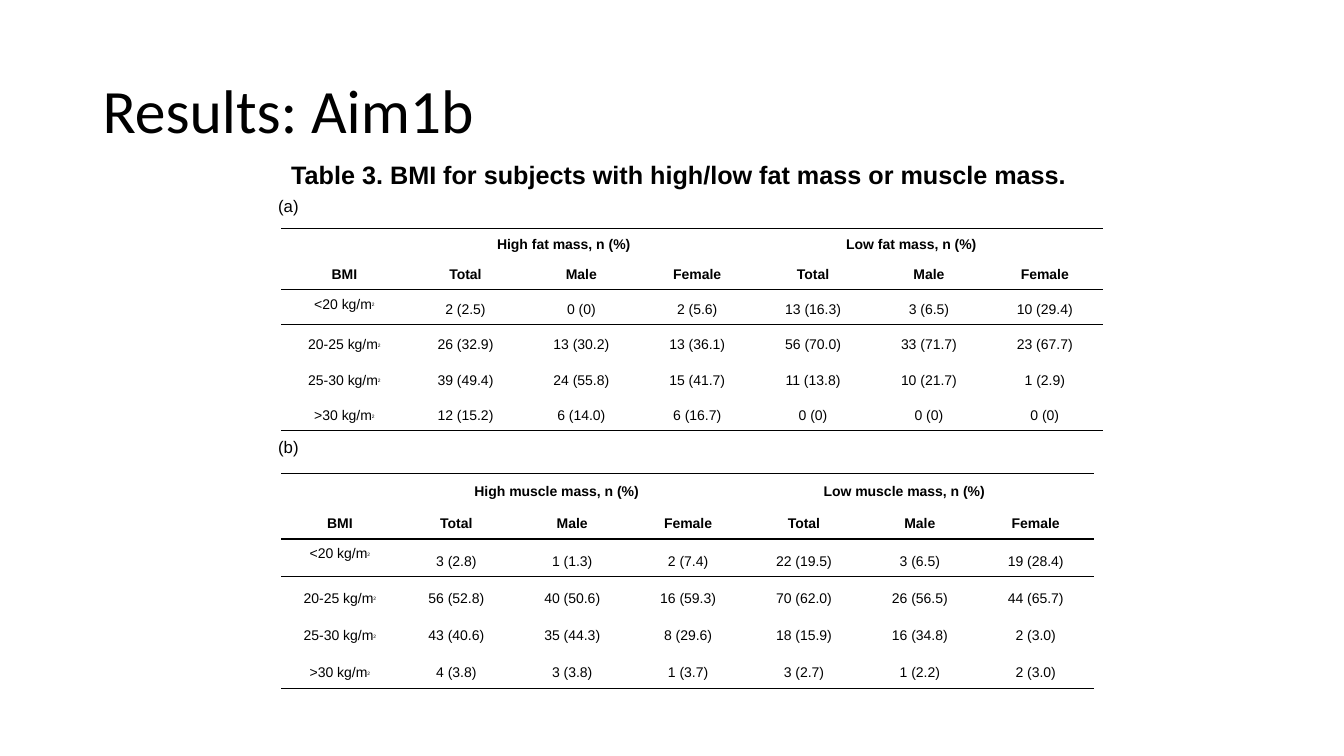
from lxml import etree
from pptx import Presentation
from pptx.dml.color import RGBColor
from pptx.enum.text import MSO_ANCHOR, PP_ALIGN
from pptx.oxml.ns import qn
from pptx.util import Cm, Pt

LEFT, CENTER = PP_ALIGN.LEFT, PP_ALIGN.CENTER
TOP, MIDDLE, BOTTOM = MSO_ANCHOR.TOP, MSO_ANCHOR.MIDDLE, MSO_ANCHOR.BOTTOM
BLACK = "000000"
PLAIN_TABLE_STYLE = "{2D5ABB26-0587-4C30-8999-92F81FD0307C}"
TITLE_ONLY = 5

TABLE_LEFT = 7.09
VALUE_WIDTH = 2.92
CELL_MARGIN = 0.18
HEADER_ROWS = 2
# The third "Female" value spans columns 3 and 4
TEXT_COLUMNS = [0, 1, 2, 3, 5, 6, 7]
SUBHEADINGS = ["BMI"] + ["Total", "Male", "Female"] * 2
BMI_RANGES = ["<20", "20-25", "25-30", ">30"]

FAT_MASS = [
    ["2 (2.5)", "0 (0)", "2 (5.6)", "13 (16.3)", "3 (6.5)", "10 (29.4)"],
    ["26 (32.9)", "13 (30.2)", "13 (36.1)", "56 (70.0)", "33 (71.7)", "23 (67.7)"],
    ["39 (49.4)", "24 (55.8)", "15 (41.7)", "11 (13.8)", "10 (21.7)", "1 (2.9)"],
    ["12 (15.2)", "6 (14.0)", "6 (16.7)", "0 (0)", "0 (0)", "0 (0)"],
]
MUSCLE_MASS = [
    ["3 (2.8)", "1 (1.3)", "2 (7.4)", "22 (19.5)", "3 (6.5)", "19 (28.4)"],
    ["56 (52.8)", "40 (50.6)", "16 (59.3)", "70 (62.0)", "26 (56.5)", "44 (65.7)"],
    ["43 (40.6)", "35 (44.3)", "8 (29.6)", "18 (15.9)", "16 (34.8)", "2 (3.0)"],
    ["4 (3.8)", "3 (3.8)", "1 (3.7)", "3 (2.7)", "1 (2.2)", "2 (3.0)"],
]


def color(hex_string):
    return RGBColor.from_string(hex_string)


def format_paragraph(paragraph, size, name="Arial", bold=False, align=LEFT):
    paragraph.alignment = align
    font = paragraph.font
    font.size, font.name, font.bold = Pt(size), name, bold
    font.color.rgb = color(BLACK)


def set_title(slide, text):
    title = slide.shapes.title
    title.left, title.top, title.width, title.height = (
        Cm(2.33), Cm(1.01), Cm(29.21), Cm(3.68))
    title.text_frame.text = text
    title.text_frame.vertical_anchor = MIDDLE
    paragraph = title.text_frame.paragraphs[0]
    paragraph.line_spacing = 0.9
    format_paragraph(paragraph, 44, "Calibri")


def add_text(slide, text, left, top, width, height, size, bold=False):
    box = slide.shapes.add_textbox(Cm(left), Cm(top), Cm(width), Cm(height))
    box.text_frame.word_wrap = True
    box.text_frame.text = text
    format_paragraph(box.text_frame.paragraphs[0], size, bold=bold)


def add_border(cell, side):
    line = etree.SubElement(cell._tc.get_or_add_tcPr(), qn(f"a:{side}"), w="12700")
    fill = etree.SubElement(line, qn("a:solidFill"))
    etree.SubElement(fill, qn("a:srgbClr"), val=BLACK)


def write_cell(cell, text, bold=False):
    paragraph = cell.text_frame.paragraphs[0]
    format_paragraph(paragraph, 10, bold=bold, align=CENTER)
    paragraph.add_run().text = text
    return paragraph


def write_bmi_range(cell, bmi_range):
    paragraph = write_cell(cell, f"{bmi_range} kg/m")
    exponent = paragraph.add_run()
    exponent.text = "2"
    exponent.font.size = Pt(6)
    exponent.font._element.set("baseline", "30000")


def prepare_cells(table):
    last_row = len(table.rows) - 1
    for row_index, row in enumerate(table.rows):
        for cell in row.cells:
            cell.margin_left = cell.margin_right = Cm(CELL_MARGIN)
            cell.margin_top = cell.margin_bottom = Cm(CELL_MARGIN)
            cell.vertical_anchor = BOTTOM
            if row_index in (0, HEADER_ROWS):
                add_border(cell, "lnT")
            if row_index == last_row:
                add_border(cell, "lnB")
            cell.fill.background()


def add_mass_table(slide, mass, values, top, widths, header_height, row_height):
    heights = [header_height] * HEADER_ROWS + [row_height] * len(values)
    frame = slide.shapes.add_table(
        len(heights), len(widths), Cm(TABLE_LEFT), Cm(top),
        Cm(sum(widths)), Cm(sum(heights)))
    table = frame.table
    table.first_row = table.horz_banding = False
    table._tbl.tblPr.find(qn("a:tableStyleId")).text = PLAIN_TABLE_STYLE
    for column, width in zip(table.columns, widths):
        column.width = Cm(width)
    for row, height in zip(table.rows, heights):
        row.height = Cm(height)
    prepare_cells(table)

    # Group headings; the blank corner needs small text to keep the row low
    corner = table.cell(0, 0).text_frame.paragraphs[0]
    etree.SubElement(corner._p, qn("a:endParaRPr"), sz="1000")
    for level, first, last in (("High", 1, 3), ("Low", 4, 7)):
        table.cell(0, first).merge(table.cell(0, last))
        write_cell(table.cell(0, first), f"{level} {mass} mass, n (%)", bold=True)

    # Subheadings and values
    for row_index in range(1, len(heights)):
        table.cell(row_index, 3).merge(table.cell(row_index, 4))
    for column, text in zip(TEXT_COLUMNS, SUBHEADINGS):
        write_cell(table.cell(1, column), text, bold=True)
    for row_index, (bmi_range, row_values) in enumerate(
            zip(BMI_RANGES, values), HEADER_ROWS):
        write_bmi_range(table.cell(row_index, 0), bmi_range)
        for column, text in zip(TEXT_COLUMNS[1:], row_values):
            write_cell(table.cell(row_index, column), text)
    table.cell(HEADER_ROWS, 0).vertical_anchor = TOP


def main():
    presentation = Presentation()
    presentation.slide_width, presentation.slide_height = Cm(33.87), Cm(19.05)
    slide = presentation.slides.add_slide(presentation.slide_layouts[TITLE_ONLY])
    set_title(slide, "Results: Aim1b")

    # Tables
    pair, triple = [VALUE_WIDTH] * 2, [VALUE_WIDTH] * 3
    add_mass_table(slide, "fat", FAT_MASS, 5.75,
                   [3.18, *pair, 2.03, 0.89, *triple], 0.74, 0.89)
    add_mass_table(slide, "muscle", MUSCLE_MASS, 11.94,
                   [2.95, *pair, 2.13, 0.79, *triple], 0.82, 0.94)

    # Caption and table labels
    add_text(slide, "Table 3. BMI for subjects with high/low fat mass or muscle mass.",
             7.09, 3.89, 21.82, 1.8, 18, bold=True)
    for label, top in (("(a)", 4.8), ("(b)", 10.87)):
        add_text(slide, label, 6.76, top, 1.6, 0.77, 12)

    presentation.save("out.pptx")


main()
